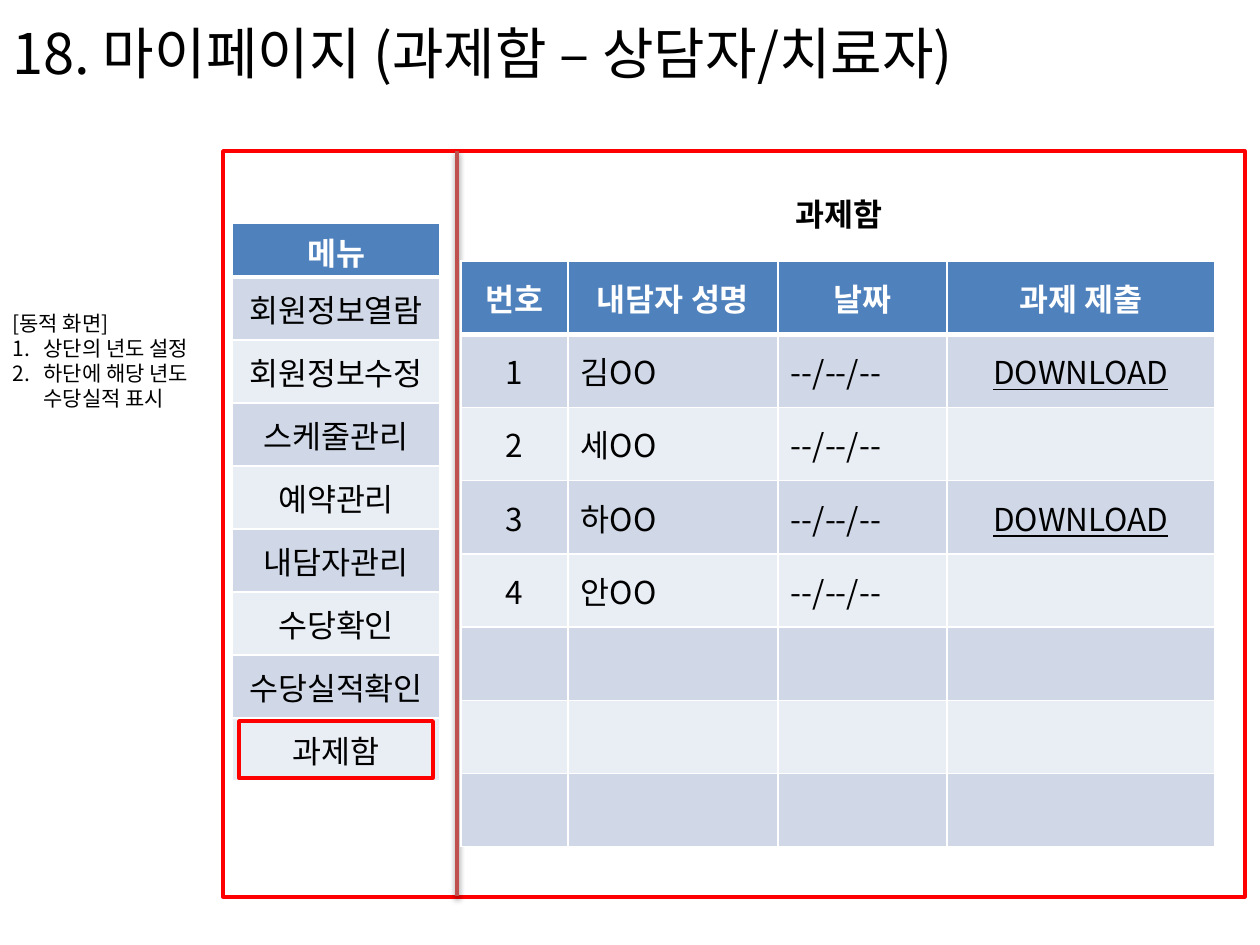
from dataclasses import dataclass

from lxml.etree import SubElement
from pptx import Presentation
from pptx.dml.color import RGBColor
from pptx.enum.shapes import MSO_CONNECTOR, MSO_SHAPE
from pptx.enum.text import MSO_ANCHOR, MSO_AUTO_SIZE, PP_ALIGN
from pptx.oxml import parse_xml
from pptx.oxml.ns import nsdecls, qn
from pptx.util import Emu, Pt

PX = 914400 / 126


@dataclass(frozen=True)
class Theme:
    font: str = "Noto Sans CJK KR"
    ink: str = "000000"
    paper: str = "FFFFFF"
    header: str = "4F81BD"
    bands: tuple = ("D0D8E8", "E9EDF4")
    outline: str = "FF0000"
    divider: str = "C0504D"
    title_size: int = 32
    text_size: int = 18
    note_size: int = 12


THEME = Theme()


def px(*lengths):
    return [Emu(round(length * PX)) for length in lengths]


def rgb(value):
    return RGBColor.from_string(value)


def write(paragraph, text, size=THEME.text_size, color=THEME.ink, bold=False,
          underline=False, align=PP_ALIGN.LEFT):
    paragraph.alignment = align
    paragraph.space_before = Pt(0)
    run = paragraph.add_run()
    run.text = text
    font = run.font
    font.name, font.size = THEME.font, Pt(size)
    font.bold, font.underline = bold, underline
    font.color.rgb = rgb(color)
    SubElement(run.font._element, qn("a:ea"), typeface=THEME.font)


class Screen:
    def __init__(self, theme, width, height):
        self.theme = theme
        self.deck = Presentation()
        self.deck.slide_width, self.deck.slide_height = px(width, height)
        self.slide = self.deck.slides.add_slide(self.deck.slide_layouts[1])

    def place(self, placeholder, box):
        (placeholder.left, placeholder.top,
         placeholder.width, placeholder.height) = px(*box)
        frame = placeholder.text_frame
        frame.word_wrap = True
        frame.auto_size = MSO_AUTO_SIZE.NONE
        return frame

    def title(self, text, box):
        frame = self.place(self.slide.shapes.title, box)
        frame.vertical_anchor = MSO_ANCHOR.MIDDLE
        write(frame.paragraphs[0], text, size=self.theme.title_size)

    def numbered_note(self, heading, steps, box, indent):
        frame = self.place(self.slide.placeholders[1], box)
        frame.margin_right = 0
        for index, text in enumerate([heading, *steps]):
            paragraph = frame.add_paragraph() if index else frame.paragraphs[0]
            hanging = px(indent)[0] if index else 0
            properties = paragraph._p.get_or_add_pPr()
            properties.set("marL", str(hanging))
            properties.set("indent", str(-hanging))
            if index:
                SubElement(properties, qn("a:buFont"), typeface="+mj-lt")
                SubElement(properties, qn("a:buAutoNum"), type="arabicPeriod")
            else:
                SubElement(properties, qn("a:buNone"))
            write(paragraph, text, size=self.theme.note_size)

    def caption(self, text, box):
        frame = self.slide.shapes.add_textbox(*px(*box)).text_frame
        frame.word_wrap = False
        write(frame.paragraphs[0], text, bold=True, align=PP_ALIGN.CENTER)

    def outline(self, box, fill=None):
        frame = self.slide.shapes.add_shape(MSO_SHAPE.RECTANGLE, *px(*box))
        frame.shadow.inherit = False
        frame.line.color.rgb = rgb(self.theme.outline)
        frame.line.width = Pt(2)
        if fill:
            frame.fill.solid()
            frame.fill.fore_color.rgb = rgb(fill)
        else:
            frame.fill.background()

    def divider(self, x, top, bottom):
        line = self.slide.shapes.add_connector(
            MSO_CONNECTOR.STRAIGHT, *px(x, top, x, bottom))
        line.line.color.rgb = rgb(self.theme.divider)
        line.line.width = Pt(2)
        line._element.spPr.append(parse_xml(
            f'<a:effectLst {nsdecls("a")}><a:outerShdw blurRad="40000" '
            'dist="20000" dir="5400000" rotWithShape="0"><a:srgbClr '
            f'val="{self.theme.ink}"><a:alpha val="38000"/></a:srgbClr>'
            '</a:outerShdw></a:effectLst>'))

    def borders(self, cell, row):
        properties = cell._tc.get_or_add_tcPr()
        thick = {0: "lnB", 1: "lnT"}.get(row)
        for side in ("lnL", "lnR", "lnT", "lnB"):
            width = Pt(3 if side == thick else 1)
            properties.append(parse_xml(
                f'<a:{side} {nsdecls("a")} w="{width}"><a:solidFill>'
                f'<a:srgbClr val="{self.theme.paper}"/></a:solidFill></a:{side}>'))

    def table(self, left, top, widths, heights, rows, centered, side_margin=13):
        grid = self.slide.shapes.add_table(
            len(heights), len(widths),
            *px(left, top, sum(widths), sum(heights))).table
        for column, width in zip(grid.columns, px(*widths)):
            column.width = width
        for line, height in zip(grid.rows, px(*heights)):
            line.height = height
        for row, texts in enumerate(rows):
            header = row == 0
            for column, text in enumerate(texts):
                cell = grid.cell(row, column)
                self.borders(cell, row)
                cell.fill.solid()
                cell.fill.fore_color.rgb = rgb(
                    self.theme.header if header
                    else self.theme.bands[(row - 1) % 2])
                cell.vertical_anchor = MSO_ANCHOR.MIDDLE
                cell.margin_left, cell.margin_right = px(side_margin, side_margin)
                if text:
                    middle = header or column in centered
                    write(cell.text_frame.paragraphs[0], text, bold=header,
                          color=self.theme.paper if header else self.theme.ink,
                          underline=text == "DOWNLOAD",
                          align=PP_ALIGN.CENTER if middle else PP_ALIGN.LEFT)


def main():
    screen = Screen(THEME, 1260, 945)
    screen.title("18. 마이페이지 (과제함 – 상담자/치료자)", (0, -1, 1223, 107))
    screen.numbered_note(
        "[동적 화면]", ["상단의 년도 설정", "하단에 해당 년도 수당실적 표시"],
        (0, 304, 223, 115), indent=31)
    screen.outline((223, 151, 1022, 746), fill=THEME.paper)
    screen.caption("과제함", (780, 189, 118, 50))
    screen.divider(457, 151, 896)

    menu = ["메뉴", "회원정보열람", "회원정보수정", "스케줄관리", "예약관리",
            "내담자관리", "수당확인", "수당실적확인", "과제함"]
    screen.table(232, 223, [208], [54] + [63] * 8, [[item] for item in menu],
                 centered={0}, side_margin=0)
    screen.outline((239, 721, 194, 57))

    submissions = [("김OO", "DOWNLOAD"), ("세OO", ""),
                   ("하OO", "DOWNLOAD"), ("안OO", "")]
    assignments = [["번호", "내담자 성명", "날짜", "과제 제출"]]
    assignments += [[str(number), client, "--/--/--", file]
                    for number, (client, file) in enumerate(submissions, 1)]
    assignments += [[""] * 4 for _ in range(3)]
    screen.table(461, 261, [107, 210, 169, 268], [73.25] * 8, assignments,
                 centered={0, 3})
    screen.deck.save("out.pptx")


if __name__ == "__main__":
    main()
